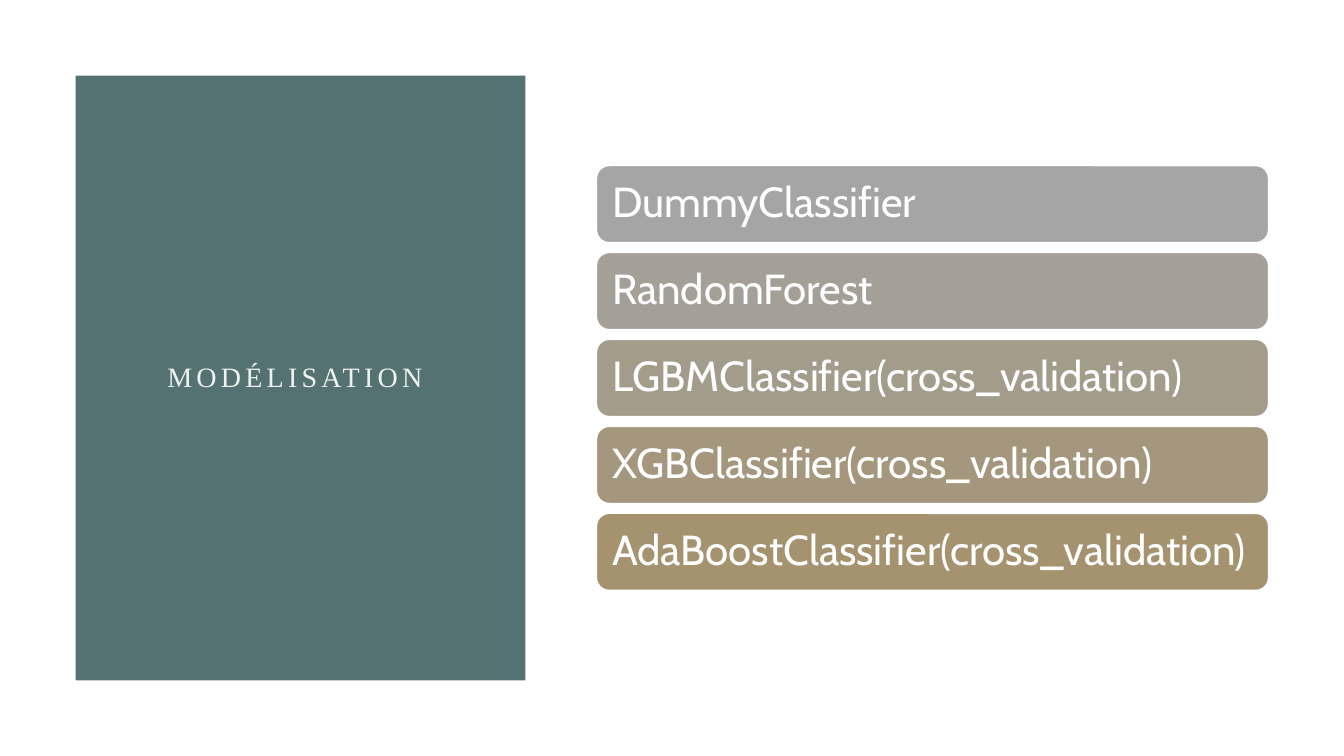
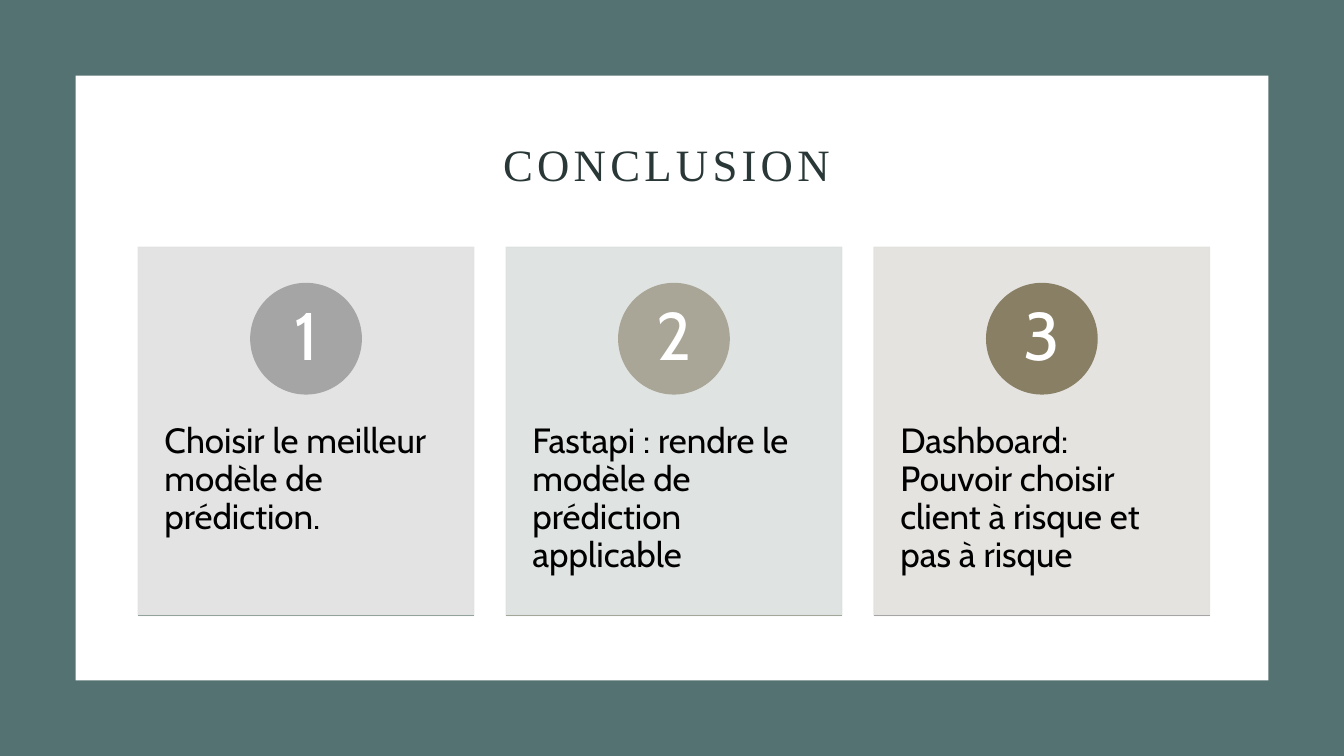
"""Build the modelling and conclusion slides."""
from pptx import Presentation
from pptx.dml.color import RGBColor
from pptx.enum.shapes import MSO_CONNECTOR, MSO_SHAPE
from pptx.enum.text import MSO_ANCHOR, MSO_AUTO_SIZE, PP_ALIGN
from pptx.oxml.ns import qn
from pptx.util import Inches, Pt

RECT, ROUND, OVAL = MSO_SHAPE.RECTANGLE, MSO_SHAPE.ROUNDED_RECTANGLE, MSO_SHAPE.OVAL
LINE = MSO_CONNECTOR.STRAIGHT
TOP, MID = MSO_ANCHOR.TOP, MSO_ANCHOR.MIDDLE
LEFT, MIDST = PP_ALIGN.LEFT, PP_ALIGN.CENTER
FIXED = MSO_AUTO_SIZE.NONE

TEAL = RGBColor(0x55, 0x72, 0x72)
DARK = RGBColor(0x29, 0x37, 0x37)
PALE = RGBColor(0xEE, 0xF2, 0xF0)
WHITE = RGBColor(0xFF, 0xFF, 0xFF)
BLACK = RGBColor(0x00, 0x00, 0x00)
GREY = RGBColor(0xA5, 0xA5, 0xA5)

SERIF, SANS = "Times New Roman", "Cabin"
CELL = 0.75
HIGH = 10
WIDE = HIGH * 16 / 9

BARS = (
    ("DummyClassifier", GREY),
    ("RandomForest", RGBColor(0xA4, 0xA0, 0x98)),
    ("LGBMClassifier(cross_validation)", RGBColor(0xA4, 0x9C, 0x8B)),
    ("XGBClassifier(cross_validation)", RGBColor(0xA4, 0x97, 0x7D)),
    ("AdaBoostClassifier(cross_validation)", RGBColor(0xA5, 0x93, 0x6F)),
)
CARDS = (
    ("Choisir le meilleur modèle de prédiction.", RGBColor(0xE1, 0xE1, 0xE1),
     GREY, RGBColor(0x91, 0xA3, 0x9B)),
    ("Fastapi : rendre le modèle de prédiction applicable", RGBColor(0xDC, 0xE0, 0xDE),
     RGBColor(0xA9, 0xA6, 0x98), RGBColor(0xA2, 0xA7, 0x9A)),
    ("Dashboard: Pouvoir choisir client à risque et pas à risque",
     RGBColor(0xE2, 0xE1, 0xDD), RGBColor(0x89, 0x7F, 0x65), GREY),
)


def cells(*nums):
    """Turn grid cells into lengths."""
    return [Inches(num * CELL) for num in nums]


def split(start, total, count, gap):
    """Return the starts and the size of equal parts with a gap."""
    size = (total - gap * (count - 1)) / count
    return [start + i * (size + gap) for i in range(count)], size


def write(shape, text, size=30, font=SANS, color=WHITE, align=LEFT, anchor=MID,
          pads=(0.1, 0.05, 0.1, 0.05), after=0, track=0):
    """Put one formatted paragraph into a shape."""
    frame = shape.text_frame
    frame.auto_size = FIXED
    frame.word_wrap = True
    frame.vertical_anchor = anchor
    (frame.margin_left, frame.margin_top,
     frame.margin_right, frame.margin_bottom) = map(Inches, pads)
    para = frame.paragraphs[0]
    para.alignment = align
    para.line_spacing = 0.9
    para.space_before, para.space_after = Pt(0), Pt(after)
    run = para.add_run()
    run.text = text
    run.font.size, run.font.name = Pt(size), font
    run.font.color.rgb = color
    if track:
        run.font._element.set("spc", str(track * 100))


def block(slide, kind, area, fill, edge=None, alpha=None):
    """Draw a filled shape on the grid."""
    shape = slide.shapes.add_shape(kind, *cells(*area))
    shape.shadow.inherit = False
    shape.fill.solid()
    shape.fill.fore_color.rgb = fill
    if edge is None:
        shape.line.fill.background()
    else:
        shape.line.color.rgb = edge
        shape.line.width = Pt(1)
    if alpha:
        for tint in shape.element.spPr.iter(qn("a:srgbClr")):
            tint.makeelement(qn("a:alpha"))
            mark = tint.makeelement(qn("a:alpha"), {"val": str(alpha * 1000)})
            tint.append(mark)
    return shape


def rule(slide, left, top, width, color):
    """Draw a thin level line."""
    line = slide.shapes.add_connector(LINE, *cells(left, top, left + width, top))
    line.line.color.rgb = color
    line.line.width = Pt(1)
    props = line.element.spPr
    props.append(props.makeelement(qn("a:effectLst")))


def head(slide, text, area, size, color):
    """Place the title in front of its panel."""
    title = slide.shapes.title
    title.left, title.top, title.width, title.height = cells(*area)
    write(title, text, size=size, font=SERIF, color=color, align=MIDST, track=3)
    title.element.getparent().append(title.element)


def models(slide):
    """Show the list of models beside a title panel."""
    block(slide, RECT, (1, 1, 5.95, HIGH - 2), TEAL)
    head(slide, "MODÉLISATION ", (2, 2, 3.95, HIGH - 4), 20, PALE)
    tops, size = split(2.19, 5.62, len(BARS), 0.13)
    for top, (text, fill) in zip(tops, BARS):
        bar = block(slide, ROUND, (7.89, top, 8.89, size), fill, edge=WHITE)
        write(bar, text, pads=(0.12, 0.12, 0.12, 0.12), after=13)


def card(slide, left, width, num, text, fill, disc, edge):
    """Draw a numbered card with a base line."""
    top, tall, disk = 3.27, 4.87, 1.46
    body = block(slide, RECT, (left, top, width, tall), fill, edge=fill, alpha=90)
    write(body, text, size=25, color=BLACK, anchor=TOP,
          pads=(0.26, 1.75, 0.26, 0.43), after=11)
    spot = (left + (width - disk) / 2, top + 0.48, disk, disk)
    ball = block(slide, OVAL, spot, disc, edge=disc)
    write(ball, str(num), size=48, align=MIDST, pads=(0, 0, 0, 0), after=20)
    rule(slide, left, top + tall, width, edge)


def ending(slide):
    """Show the three numbered conclusions."""
    slide.background.fill.solid()
    slide.background.fill.fore_color.rgb = TEAL
    block(slide, RECT, (1, 1, WIDE - 2, HIGH - 2), WHITE)
    head(slide, "CONCLUSION ", (2, 1.56, WIDE - 3.94, 1.31), 32, DARK)
    lefts, width = split(1.83, 14.17, len(CARDS), 0.43)
    for num, (left, data) in enumerate(zip(lefts, CARDS), 1):
        card(slide, left, width, num, *data)


def main():
    """Build and save both slides."""
    deck = Presentation()
    deck.slide_width, deck.slide_height = cells(WIDE, HIGH)
    for draw in (models, ending):
        draw(deck.slides.add_slide(deck.slide_layouts[5]))
    deck.save("out.pptx")


if __name__ == "__main__":
    main()
